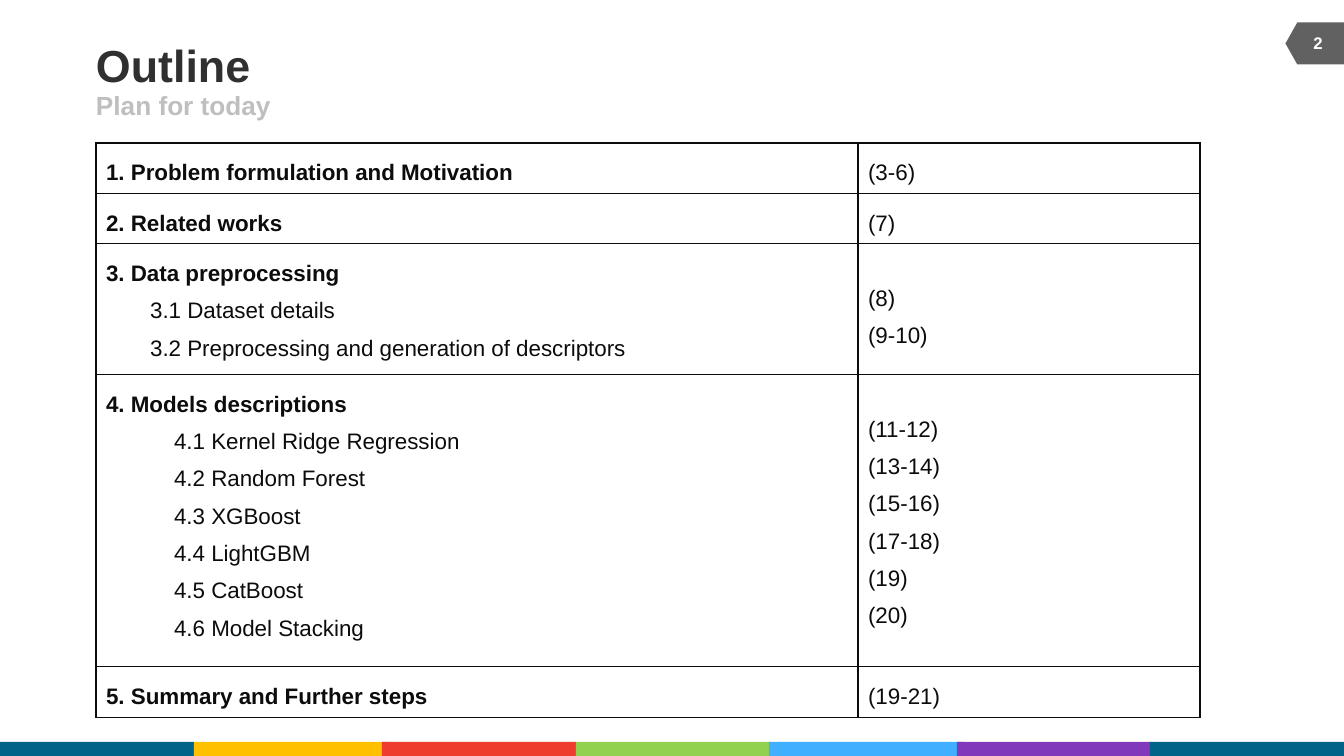
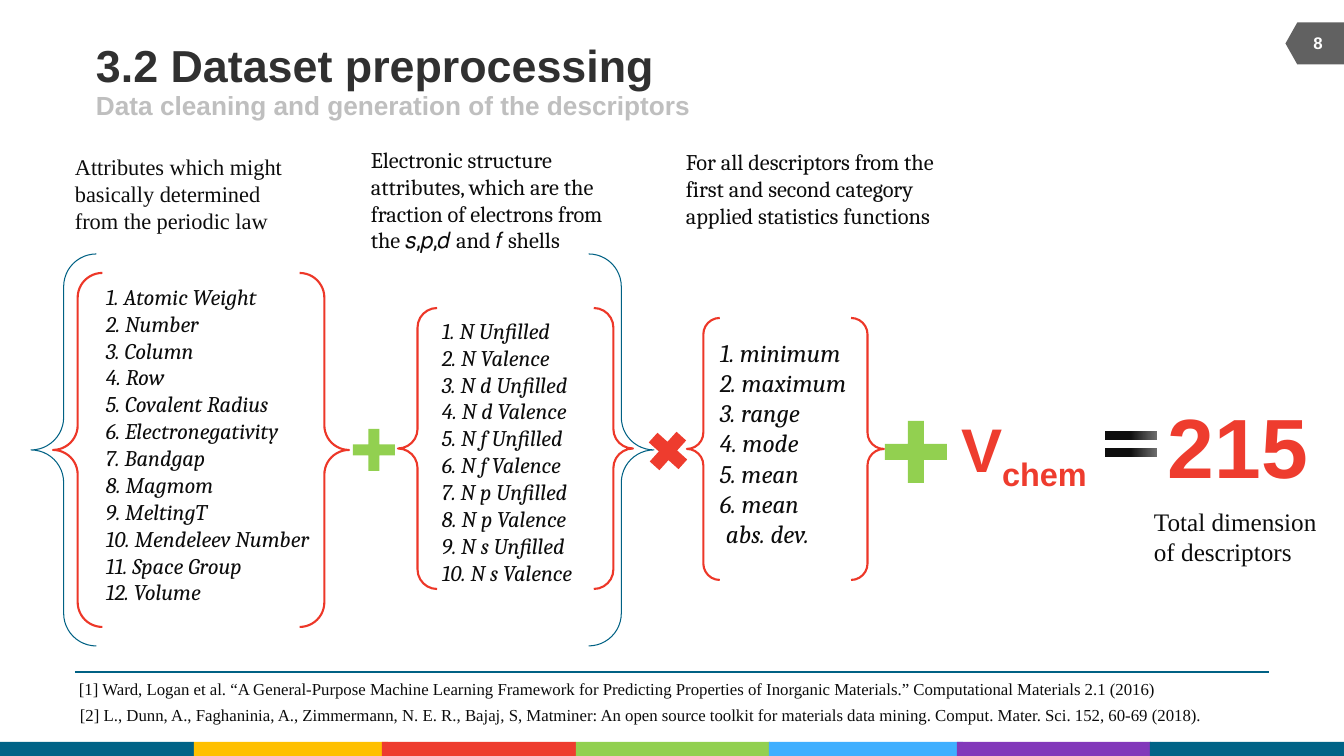
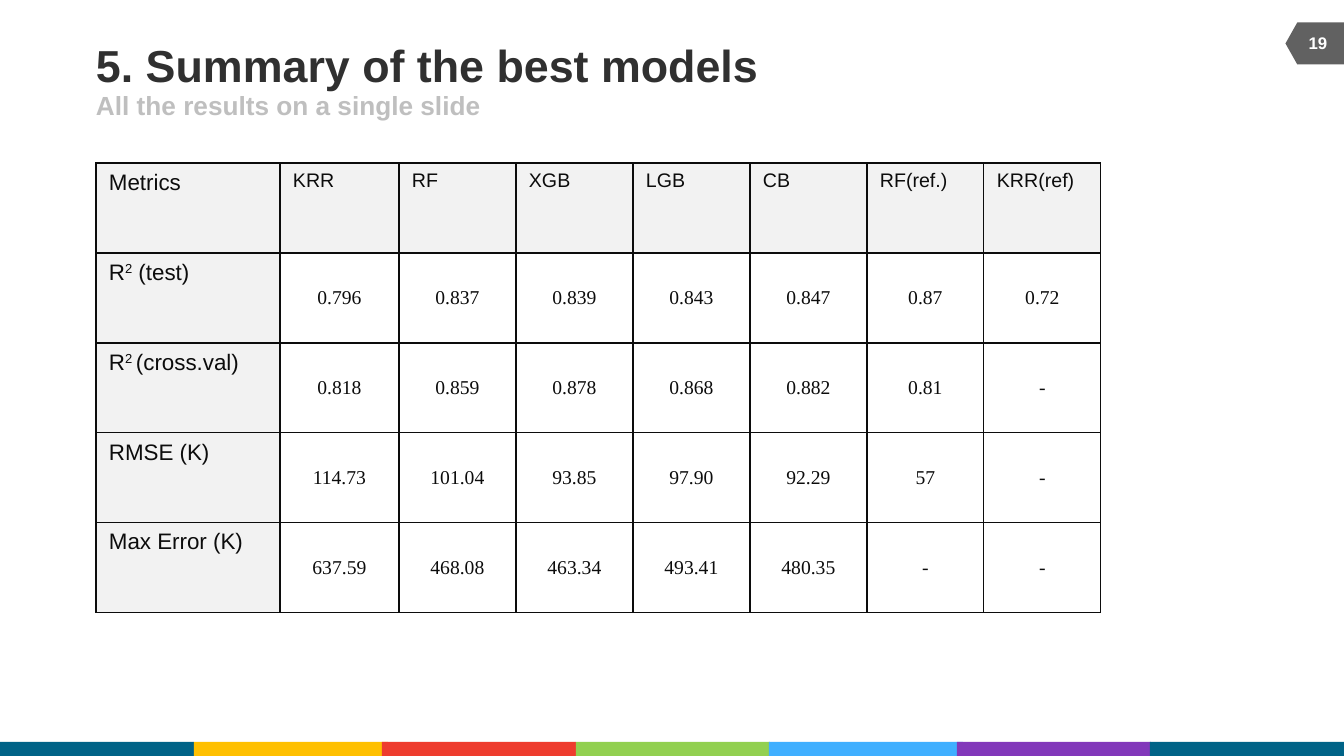
from dataclasses import dataclass

from lxml import etree
from pptx import Presentation
from pptx import util as u
from pptx.dml.color import RGBColor
from pptx.enum import shapes, text
from pptx.oxml import ns

PX = 914400 / 100.8
SHAPE = shapes.MSO_SHAPE
LEFT, CENTER = text.PP_ALIGN.LEFT, text.PP_ALIGN.CENTER
TOP, MIDDLE = text.MSO_ANCHOR.TOP, text.MSO_ANCHOR.MIDDLE


@dataclass(frozen=True)
class Theme:
    sans: str = "Arial"
    serif: str = "Times New Roman"
    book: str = "Cambria"
    symbol: str = "Roboto"
    ink: str = "0C0C0C"
    white: str = "FFFFFF"
    head_fill: str = "F2F2F2"
    title: str = "303030"
    subtitle: str = "BFBFBF"
    badge: str = "616161"
    red: str = "EE3C2E"
    green: str = "92D050"
    blue: str = "006184"
    brace: str = "ED3728"
    equals: tuple = ("0E0E0E", "6D6D6D")
    title_size: float = 32
    subtitle_size: float = 18.7
    body_size: float = 16
    large_size: float = 18
    value_size: float = 14
    small_size: float = 12
    total_size: float = 60
    vector_size: float = 44
    vector_sub_size: float = 40


THEME = Theme()
BAND = [(0, "006387"), (194, "FFC000"), (382, "EE3C2E"), (576, "92D050"),
        (769, "40AFFF"), (957, "8238BA"), (1150, "006387")]
BAND_WIDTH = 194

# A line is plain text, an (indent, text) pair, or a list of (text, style) spans.
BOLD = {"bold": True}
OUTLINE_COLUMNS = [762, 342]
OUTLINE = [
    (47, [[("1. Problem formulation and Motivation", BOLD)]], ["(3-6)"]),
    (47, [[("2. Related works", BOLD)]], ["(7)"]),
    (122, [[("3. Data preprocessing", BOLD)],
           (44, "3.1 Dataset details"),
           (44, "3.2 Preprocessing and generation of descriptors")],
     ["(8)", "(9-10)"]),
    (272, [[("4. Models descriptions", BOLD)],
           (68, "4.1 Kernel Ridge Regression"), (68, "4.2 Random Forest"),
           (68, "4.3 XGBoost"), (68, "4.4 LightGBM"),
           (68, "4.5 CatBoost"), (68, "4.6 Model Stacking")],
     ["(11-12)", "(13-14)", "(15-16)", "(17-18)", "(19)", "(20)"]),
    (47, [[("5. Summary and Further steps", BOLD)]], ["(19-21)"]),
]

ELEMENTS = ["1. Atomic Weight", "2. Number", "3. Column", "4. Row",
            "5. Covalent Radius", "6. Electronegativity", "7. Bandgap",
            "8. Magmom", "9. MeltingT", "10. Mendeleev Number",
            "11. Space Group", "12. Volume"]
ELECTRONS = ["1. N Unfilled", "2. N Valence", "3. N d Unfilled",
             "4. N d Valence", "5. N f Unfilled", "6. N f Valence",
             "7. N p Unfilled", "8. N p Valence", "9. N s Unfilled",
             "10. N s Valence"]
STATISTICS = ["1. minimum", "2. maximum", "3. range", "4. mode", "5. mean",
              "6. mean", (6, "abs. dev.")]
SYMBOL = {"font": THEME.symbol}
SHELLS = [("Electronic structure attributes, which are the fraction of "
           "electrons from the ", {}), ("𝑠,𝑝,𝑑 ", SYMBOL), ("and ", {}),
          ("𝑓 ", SYMBOL), ("shells", {})]
VECTOR = [("V", {}), ("chem", {"size": THEME.vector_sub_size, "baseline": -25})]

LIST = {"font": THEME.book, "italic": True}
BOOK = {"font": THEME.book}
SERIF = {"font": THEME.serif}
NOTE = {"font": THEME.serif, "size": THEME.small_size}
DESCRIPTOR_TEXTS = [
    ((96, 278, 273, 336), ELEMENTS, LIST),
    ((432, 312, 201, 281), ELECTRONS, LIST),
    ((710, 332, 169, 224), STATISTICS, LIST | {"size": THEME.large_size}),
    ((65, 148, 238, 92),
     ["Attributes which might basically determined from the periodic law"], SERIF),
    ((361, 141, 299, 119), [SHELLS], BOOK),
    ((676, 143, 273, 92),
     ["For all descriptors from the first and second category applied "
      "statistics functions"], BOOK),
    ((1144, 501, 208, 72), ["Total dimension of descriptors"],
     SERIF | {"size": THEME.large_size}),
    ((69, 674, 1212, 30),
     ["[1] Ward, Logan et al. “A General-Purpose Machine Learning Framework for "
      "Predicting Properties of Inorganic Materials.” Computational Materials "
      "2.1 (2016)"], NOTE),
    ((70, 700, 1193, 30),
     ["[2] L., Dunn, A., Faghaninia, A., Zimmermann, N. E. R., Bajaj, S, "
      "Matminer: An open source toolkit for materials data mining. Comput. "
      "Mater. Sci. 152, 60-69 (2018)."], NOTE),
]
RESULT_TEXTS = [
    ((1157, 389, 162, 112), ["215"], THEME.total_size),
    ((944, 409, 160, 85), [VECTOR], THEME.vector_size),
]
BRACES = [
    ((53, 273, 296, 354), THEME.brace, 1.5),
    ((398, 308, 235, 281), THEME.brace, 1.5),
    ((687, 318, 197, 262), THEME.brace, 1.5),
    ((31, 254, 623, 392), THEME.blue, 0.75),
]
# Centre x, centre y, span, arm thickness, rotation, colour
CROSSES = [
    (374, 450, 42, 11, 0, THEME.green),
    (668, 451, 40, 13, 42, THEME.red),
    (916, 452, 62, 16, 0, THEME.green),
]
EQUALS_BARS = [(1105, 431, 52, 9), (1105, 448, 52, 9)]

SCORE_COLUMNS = [184, 119] + [117] * 6
SCORE_ROW = 90
SCORE_HEADS = ["Metrics", "KRR", "RF", "XGB", "LGB", "CB", "RF(ref.)", "KRR(ref)"]
SUPER = {"baseline": 30}
SCORES = [
    ([("R", {}), ("2", SUPER), (" (test)", {})],
     ["0.796", "0.837", "0.839", "0.843", "0.847", "0.87", "0.72"]),
    ([("R", {}), ("2 ", SUPER), ("(cross.val)", {})],
     ["0.818", "0.859", "0.878", "0.868", "0.882", "0.81", "-"]),
    ("RMSE (K)", ["114.73", "101.04", "93.85", "97.90", "92.29", "57", "-"]),
    ("Max Error (K)", ["637.59", "468.08", "463.34", "493.41", "480.35", "-", "-"]),
]


def px(length):
    return u.Emu(round(length * PX))


def rgb(code):
    return RGBColor.from_string(code)


def write(frame, lines, align=LEFT, spacing=None, **style):
    for number, line in enumerate(lines):
        para = frame.paragraphs[0] if number == 0 else frame.add_paragraph()
        para.alignment = align
        if spacing:
            para.line_spacing = spacing
        if isinstance(line, tuple):
            indent, line = line
            para._p.get_or_add_pPr().set("marL", str(px(indent)))
        spans = [(line, {})] if isinstance(line, str) else line
        for words, extra in spans:
            look = style | extra
            span = para.add_run()
            span.text = words
            span.font.name = look.get("font", THEME.sans)
            span.font.size = u.Pt(look.get("size", THEME.body_size))
            span.font.bold = look.get("bold", False)
            span.font.italic = look.get("italic", False)
            span.font.color.rgb = rgb(look.get("color", THEME.ink))
            if "baseline" in look:
                span._r.get_or_add_rPr().set("baseline", str(look["baseline"] * 1000))


def add_text(page, area, lines, anchor=TOP, flush=False, **style):
    """Add a wrapping text box; flush removes its insets."""
    frame = page.shapes.add_textbox(*map(px, area)).text_frame
    frame.word_wrap = True
    frame.vertical_anchor = anchor
    if flush:
        frame.margin_left = frame.margin_right = 0
        frame.margin_top = frame.margin_bottom = 0
    write(frame, lines, **style)


def add_figure(page, kind, area, fill=None, line=None, width=1.0, rotation=0):
    figure = page.shapes.add_shape(kind, *map(px, area))
    figure.shadow.inherit = False
    figure.rotation = rotation
    if fill:
        figure.fill.solid()
        figure.fill.fore_color.rgb = rgb(fill)
    else:
        figure.fill.background()
    if line:
        figure.line.color.rgb = rgb(line)
        figure.line.width = u.Pt(width)
    else:
        figure.line.fill.background()
    return figure


def add_grid(page, left, top, columns, rows):
    table = page.shapes.add_table(len(rows), len(columns), px(left), px(top),
                                  px(sum(columns)), px(sum(rows))).table
    table.first_row = table.horz_banding = False
    for column, width in zip(table.columns, columns):
        column.width = px(width)
    for row, height in zip(table.rows, rows):
        row.height = px(height)
    return table


def fill_cell(cell, lines, fill=THEME.white, **style):
    properties = cell._tc.get_or_add_tcPr()
    for side in ("lnL", "lnR", "lnT", "lnB"):
        border = etree.SubElement(properties, ns.qn(f"a:{side}"), w=str(u.Pt(1)))
        paint = etree.SubElement(border, ns.qn("a:solidFill"))
        etree.SubElement(paint, ns.qn("a:srgbClr"), val=THEME.ink)
    cell.fill.solid()
    cell.fill.fore_color.rgb = rgb(fill)
    write(cell.text_frame, lines, **style)


def add_page(deck, number, title, subtitle):
    """Add a page with the shared band, badge and headings."""
    page = deck.slides.add_slide(deck.slide_layouts[6])
    for left, color in BAND:
        add_figure(page, SHAPE.RECTANGLE, (left, 742, BAND_WIDTH, 14), color)
    add_figure(page, SHAPE.FLOWCHART_OFFPAGE_CONNECTOR, (1294, 14, 42, 59),
               THEME.badge, rotation=90)
    add_text(page, (96, 39, 829, 52), [title], MIDDLE, True,
             size=THEME.title_size, color=THEME.title, bold=True)
    add_text(page, (96, 91, 605, 29), [subtitle], MIDDLE, True,
             size=THEME.subtitle_size, color=THEME.subtitle, bold=True)
    add_text(page, (1290, 23, 56, 40), [str(number)], MIDDLE, align=CENTER,
             size=THEME.small_size, color=THEME.white, bold=True)
    return page


def build_outline(deck):
    page = add_page(deck, 2, "Outline", "Plan for today")
    table = add_grid(page, 96, 143, OUTLINE_COLUMNS, [row[0] for row in OUTLINE])
    for number, (_, topics, pages) in enumerate(OUTLINE):
        fill_cell(table.cell(number, 0), topics, spacing=1.5)
        page_cell = table.cell(number, 1)
        fill_cell(page_cell, pages, spacing=1.5)
        if len(topics) > 1:
            page_cell.margin_top = px(30)


def build_descriptors(deck):
    page = add_page(deck, 8, "3.2 Dataset preprocessing",
                    "Data cleaning and generation of the descriptors")
    for area, color, width in BRACES:
        add_figure(page, SHAPE.DOUBLE_BRACE, area, line=color, width=width)
    for x, y, span, arm, rotation, color in CROSSES:
        cross = add_figure(page, SHAPE.CROSS, (x - span / 2, y - span / 2, span, span),
                           color, rotation=rotation)
        cross.adjustments[0] = (span - arm) / 2 / span
    for area in EQUALS_BARS:
        bar = add_figure(page, SHAPE.RECTANGLE, area)
        bar.fill.gradient()
        bar.fill.gradient_angle = 0
        for stop, color, position in zip(bar.fill.gradient_stops, THEME.equals, (0.48, 1)):
            stop.color.rgb = rgb(color)
            stop.position = position
    for area, lines, style in DESCRIPTOR_TEXTS:
        add_text(page, area, lines, **style)
    for area, lines, size in RESULT_TEXTS:
        add_text(page, area, lines, MIDDLE, True, align=CENTER, size=size,
                 color=THEME.red, bold=True)
    rule = page.shapes.add_connector(shapes.MSO_CONNECTOR.STRAIGHT,
                                     px(75), px(672), px(1269), px(672))
    rule.line.color.rgb = rgb(THEME.blue)
    rule.line.width = u.Pt(0.75)
    etree.SubElement(rule._element.spPr, ns.qn("a:effectLst"))


def build_summary(deck):
    page = add_page(deck, 19, "5. Summary of the best models",
                    "All the results on a single slide")
    rows = [SCORE_HEADS] + [[metric, *values] for metric, values in SCORES]
    table = add_grid(page, 96, 163, SCORE_COLUMNS, [SCORE_ROW] * len(rows))
    for row, entries in enumerate(rows):
        for column, entry in enumerate(entries):
            cell = table.cell(row, column)
            size = THEME.value_size if column else THEME.body_size
            if row and column:
                cell.vertical_anchor = MIDDLE
                fill_cell(cell, [entry], align=CENTER, size=size, font=THEME.serif)
            else:
                cell.margin_left = cell.margin_right = px(13)
                cell.margin_top = cell.margin_bottom = px(7)
                fill_cell(cell, [entry], THEME.head_fill, size=size)


def main():
    deck = Presentation()
    deck.slide_width, deck.slide_height = px(1344), px(756)
    build_outline(deck)
    build_descriptors(deck)
    build_summary(deck)
    deck.save("out.pptx")


if __name__ == "__main__":
    main()
